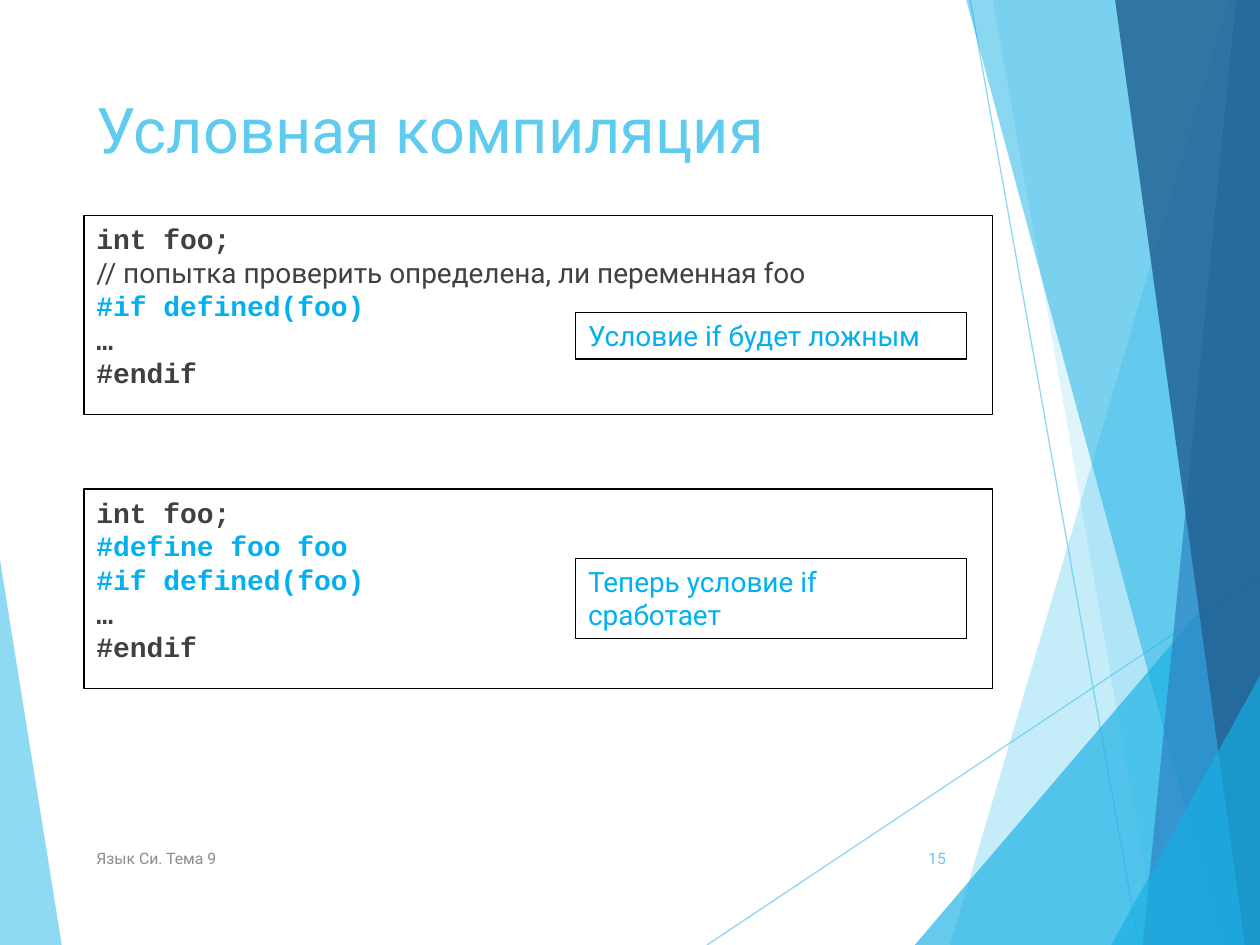
from dataclasses import dataclass

import lxml.etree
import pptx
import pptx.dml.color
import pptx.enum.shapes
import pptx.enum.text
import pptx.oxml.ns
import pptx.util

Pt = pptx.util.Pt
ALIGN = pptx.enum.text.PP_ALIGN
ANCHOR = pptx.enum.text.MSO_ANCHOR

WIDTH, HEIGHT = 720, 540
COLORS = {
    "sky": "5FCBEF",
    "cyan": "17B0E4",
    "blue": "2E83C3",
    "navy": "226292",
    "accent": "00B0F0",
    "text": "404040",
    "footer": "8C8C8C",
    "border": "000000",
}


@dataclass
class Facet:
    points: list[tuple[float, float]]
    color: str
    opacity: int


@dataclass
class Ray:
    start: tuple[float, float]
    end: tuple[float, float]


@dataclass
class Line:
    text: str
    color: str = "text"
    size: float = 16
    font: str = "Roboto"
    bold: bool = False


@dataclass
class Box:
    left: float
    top: float
    width: float
    height: float
    lines: list[Line]
    bordered: bool = False
    align: ALIGN = ALIGN.LEFT
    anchor: ANCHOR = ANCHOR.TOP
    spacing: float | None = None


def code(text: str, color: str = "text") -> Line:
    return Line(text, color, font="Courier New", bold=True)


def code_box(top: float, lines: list[Line]) -> Box:
    return Box(48, top, 519.2, 113.8, lines, bordered=True, spacing=19.2)


def callout(top: float, height: float, text: str) -> Box:
    return Box(329, top, 223.2, height, [Line(text, "accent")], bordered=True)


def right_facet(top_x: float, bottom_x: float, color: str, opacity: int) -> Facet:
    """Full-height facet reaching the right edge of the slide."""
    points = [(top_x, 0), (bottom_x, HEIGHT), (WIDTH, HEIGHT), (WIDTH, 0)]
    return Facet(points, color, opacity)


def corner_facet(left: float, top: float) -> Facet:
    """Triangle in the bottom right corner."""
    return Facet([(left, HEIGHT), (WIDTH, top), (WIDTH, HEIGHT)], "cyan", 66)


def rgb(name: str) -> pptx.dml.color.RGBColor:
    return pptx.dml.color.RGBColor.from_string(COLORS[name])


def set_opacity(properties, percent: int) -> None:
    color = next(properties.iter(pptx.oxml.ns.qn("a:srgbClr")))
    alpha = lxml.etree.SubElement(color, pptx.oxml.ns.qn("a:alpha"))
    alpha.set("val", str(percent * 1000))


def draw_facet(slide, facet: Facet) -> None:
    points = [(Pt(x), Pt(y)) for x, y in facet.points]
    builder = slide.shapes.build_freeform(*points[0], scale=1.0)
    builder.add_line_segments(points[1:], close=True)
    shape = builder.convert_to_shape()
    shape.shadow.inherit = False
    shape.fill.solid()
    shape.fill.fore_color.rgb = rgb(facet.color)
    set_opacity(shape.fill._xPr, facet.opacity)
    shape.line.fill.background()


def draw_ray(slide, ray: Ray) -> None:
    connector = slide.shapes.add_connector(
        pptx.enum.shapes.MSO_CONNECTOR.STRAIGHT,
        *(Pt(value) for value in ray.start + ray.end),
    )
    connector.line.color.rgb = rgb("sky")
    connector.line.width = Pt(0.75)
    properties = connector._element.spPr
    set_opacity(properties, 70)
    lxml.etree.SubElement(properties, pptx.oxml.ns.qn("a:effectLst"))


def draw_box(slide, box: Box) -> None:
    frame = [Pt(value) for value in (box.left, box.top, box.width, box.height)]
    if box.bordered:
        shape = slide.shapes.add_shape(
            pptx.enum.shapes.MSO_SHAPE.RECTANGLE, *frame
        )
        shape.shadow.inherit = False
        shape.fill.background()
        shape.line.color.rgb = rgb("border")
        shape.line.width = Pt(0.75)
    else:
        shape = slide.shapes.add_textbox(*frame)
    text_frame = shape.text_frame
    text_frame.word_wrap = True
    text_frame.vertical_anchor = box.anchor
    text_frame.text = "\n".join(line.text for line in box.lines)
    for paragraph, line in zip(text_frame.paragraphs, box.lines):
        paragraph.alignment = box.align
        if box.spacing:
            paragraph.line_spacing = Pt(box.spacing)
        font = paragraph.runs[0].font
        font.name = line.font
        font.size = Pt(line.size)
        font.bold = line.bold
        font.color.rgb = rgb(line.color)


# Background decoration, from back to front
LEFT_FACET = Facet([(0, 320), (35.3, HEIGHT), (0, HEIGHT)], "sky", 70)
RAYS = [
    Ray((404, HEIGHT), (WIDTH, 329.3)),
    Ray((554.4, 0), (650.9, HEIGHT)),
]
RIGHT_FACETS = [
    right_facet(702, 543, "sky", 36),
    right_facet(567.4, 661.7, "sky", 20),
    corner_facet(522.7, 309),
    right_facet(552.2, 698.4, "cyan", 50),
    right_facet(706.3, 653, "blue", 70),
    right_facet(637.2, 711.4, "navy", 82),
    corner_facet(635, 386),
]

# Title, footer, code samples and their callouts
BOXES = [
    Box(48, 48, 500, 104, [Line("Условная компиляция", "sky", 36)]),
    code_box(123, [
        code("int foo;"),
        Line("// попытка проверить определена, ли переменная foo"),
        code("#if defined(foo)", "accent"),
        code("…"),
        code("#endif"),
    ]),
    Box(48, 476, 364, 29, [Line("Язык Си. Тема 9", "footer", 9)],
        anchor=ANCHOR.MIDDLE),
    Box(507.6, 476, 40, 29, [Line("15", "sky", 9)],
        align=ALIGN.RIGHT, anchor=ANCHOR.MIDDLE),
    callout(178.5, 26.7, "Условие if будет ложным"),
    code_box(279.5, [
        code("int foo;"),
        code("#define foo foo", "accent"),
        code("#if defined(foo)", "accent"),
        code("…"),
        code("#endif"),
    ]),
    callout(319, 46.1, "Теперь условие if сработает"),
]


def main() -> None:
    presentation = pptx.Presentation()
    presentation.slide_width = Pt(WIDTH)
    presentation.slide_height = Pt(HEIGHT)
    slide = presentation.slides.add_slide(presentation.slide_layouts[6])
    draw_facet(slide, LEFT_FACET)
    for ray in RAYS:
        draw_ray(slide, ray)
    for facet in RIGHT_FACETS:
        draw_facet(slide, facet)
    for box in BOXES:
        draw_box(slide, box)
    presentation.save("out.pptx")


if __name__ == "__main__":
    main()
